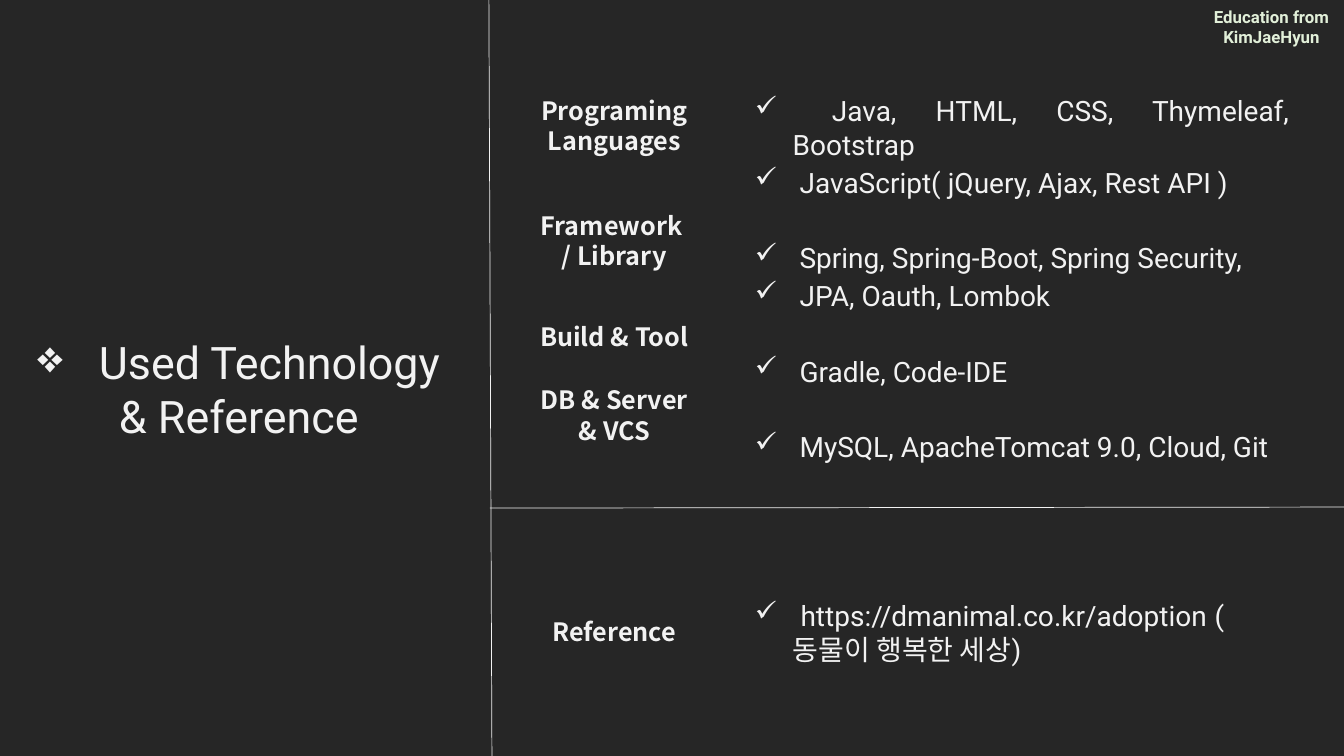
from dataclasses import dataclass

from lxml import etree
from pptx import Presentation
from pptx.dml.color import RGBColor
from pptx.enum import shapes, text
from pptx.oxml import ns
from pptx.util import Pt

BACKGROUND = "262626"
LIGHT = "F2F2F2"
CENTER = text.PP_ALIGN.CENTER
JUSTIFY = text.PP_ALIGN.JUSTIFY


@dataclass
class Style:
    font: str
    size: float
    color: str = LIGHT
    align: text.PP_ALIGN = CENTER
    outlined: bool = False
    line_height: float | None = None
    space_after: float = 0


@dataclass
class Line:
    words: str
    bullet: str = ""
    indent: float = 0
    space_before: float = 0


@dataclass
class Block:
    left: float
    top: float
    width: float
    height: float
    style: Style
    lines: list[Line]


@dataclass
class Divider:
    start: tuple[float, float]
    end: tuple[float, float]


def rgb(value: str) -> RGBColor:
    return RGBColor.from_string(value)


def add_bullet(paragraph, line: Line, color: str) -> None:
    properties = paragraph._p.get_or_add_pPr()
    properties.set("marL", str(Pt(line.indent)))
    properties.set("indent", str(-Pt(line.indent)))
    bullet_color = etree.SubElement(properties, ns.qn("a:buClr"))
    etree.SubElement(bullet_color, ns.qn("a:srgbClr"), val=color)
    etree.SubElement(properties, ns.qn("a:buChar"), char=line.bullet)


def outline(run) -> None:
    edge = etree.Element(ns.qn("a:ln"), w=str(Pt(0.75)))
    fill = etree.SubElement(edge, ns.qn("a:solidFill"))
    color = etree.SubElement(fill, ns.qn("a:srgbClr"), val="D9D9D9")
    etree.SubElement(color, ns.qn("a:alpha"), val="30000")
    run._r.get_or_add_rPr().insert(0, edge)


def draw_block(slide, block: Block) -> None:
    style = block.style
    box = slide.shapes.add_textbox(
        Pt(block.left), Pt(block.top), Pt(block.width), Pt(block.height))
    frame = box.text_frame
    frame.text = "\n".join(line.words for line in block.lines)
    frame.word_wrap = True
    frame.auto_size = text.MSO_AUTO_SIZE.SHAPE_TO_FIT_TEXT
    for paragraph, line in zip(frame.paragraphs, block.lines):
        if line.bullet:
            add_bullet(paragraph, line, style.color)
        paragraph.alignment = style.align
        if style.line_height:
            paragraph.line_spacing = Pt(style.line_height)
        if style.space_after:
            paragraph.space_after = Pt(style.space_after)
        if line.space_before:
            paragraph.space_before = Pt(line.space_before)
        for run in paragraph.runs:
            run.font.name = style.font
            run.font.size = Pt(style.size)
            run.font.bold = style.outlined
            run.font.color.rgb = rgb(style.color)
            if style.outlined:
                outline(run)


def draw_divider(slide, divider: Divider) -> None:
    rule = slide.shapes.add_connector(
        shapes.MSO_CONNECTOR.STRAIGHT,
        *(Pt(value) for value in divider.start + divider.end))
    rule.line.color.rgb = rgb(LIGHT)
    rule.line.width = Pt(0.5)
    etree.SubElement(rule._element.spPr, ns.qn("a:effectLst"))


def check(words: str, space_before: float = 0) -> Line:
    return Line(f" {words}", "✓", 27, space_before)


TITLE = Style("Roboto", 32)
LABEL = Style("Noto Sans CJK KR", 18, outlined=True, line_height=21.5)
ITEM = Style("Roboto", 20, align=JUSTIFY, space_after=3)
CREDIT = Style("Roboto", 12, "E2F0D9", outlined=True)

GROUP_GAP = 27
LABELS = [
    (64.8, 51, ["Programing Languages"]),
    (146.9, 51, ["Framework ", "/ Library"]),
    (226.1, 28.8, ["Build & Tool"]),
    (271.4, 51, ["DB & Server & VCS"]),
    (437, 28.8, ["Reference"]),
]
BLOCKS = [
    Block(0, 235.4, 349.2, 85, TITLE, [
        Line(" Used Technology ", "❖", 36),
        Line("& Reference "),
    ]),
    Block(532.1, 63.4, 396, 249.8, ITEM, [
        check("Java, HTML, CSS, Thymeleaf, Bootstrap"),
        check("JavaScript( jQuery, Ajax, Rest API )"),
        check("Spring, Spring-Boot, Spring Security,", GROUP_GAP),
        check("JPA, Oauth, Lombok"),
        check("Gradle, Code-IDE", GROUP_GAP),
        check("MySQL, ApacheTomcat 9.0, Cloud, Git", GROUP_GAP),
    ]),
    Block(532.1, 424.1, 349.9, 55.4, ITEM, [
        check("https://dmanimal.co.kr/adoption ( 동물이 행복한 세상)"),
    ]),
    Block(856, 1.4, 104.4, 36, CREDIT, [Line("Education from KimJaeHyun")]),
] + [
    Block(371.5, top, 134.6, height, LABEL, [Line(words) for words in lines])
    for top, height, lines in LABELS
]
DIVIDERS = [
    Divider((349.2, 0), (351.4, 540)),
    Divider((960, 362.2), (350, 362.9)),
]


def main() -> None:
    deck = Presentation()
    deck.slide_width, deck.slide_height = Pt(960), Pt(540)
    slide = deck.slides.add_slide(deck.slide_layouts[6])
    slide.background.fill.solid()
    slide.background.fill.fore_color.rgb = rgb(BACKGROUND)
    for divider in DIVIDERS:
        draw_divider(slide, divider)
    for block in BLOCKS:
        draw_block(slide, block)
    deck.save("out.pptx")


if __name__ == "__main__":
    main()
